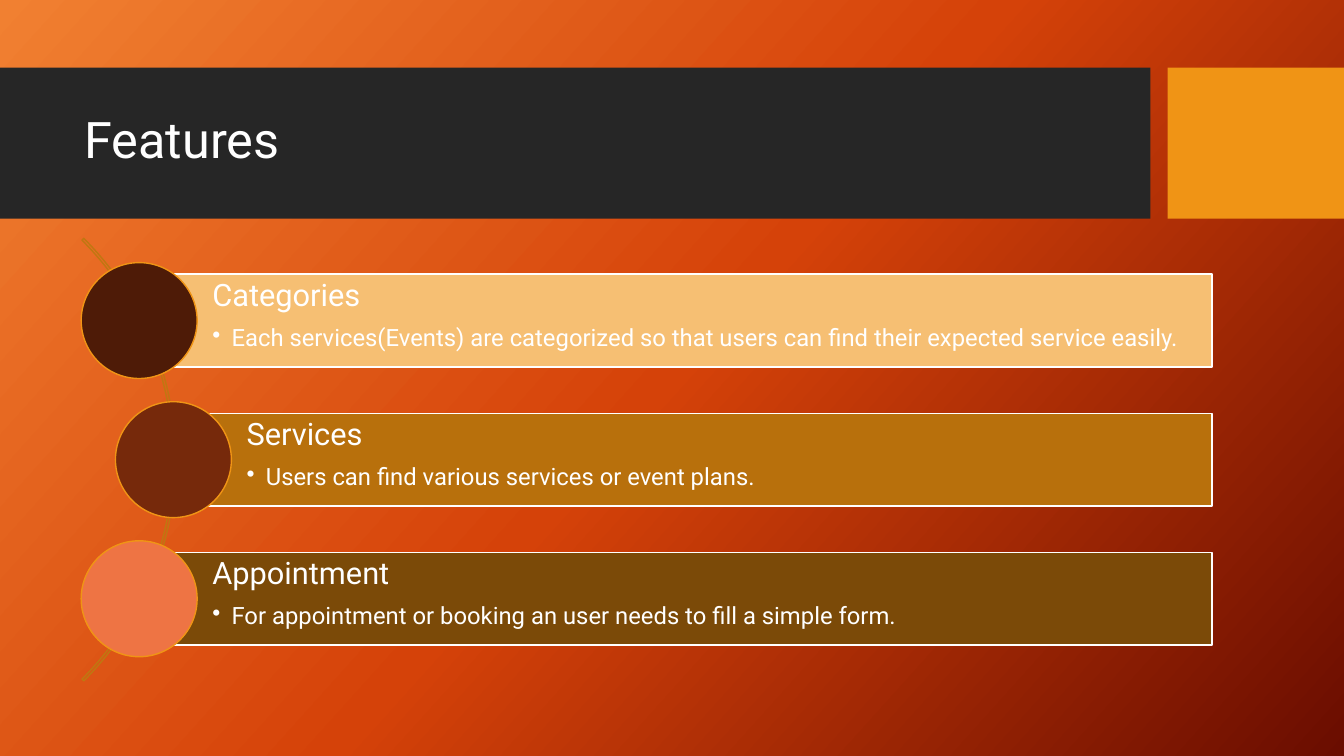
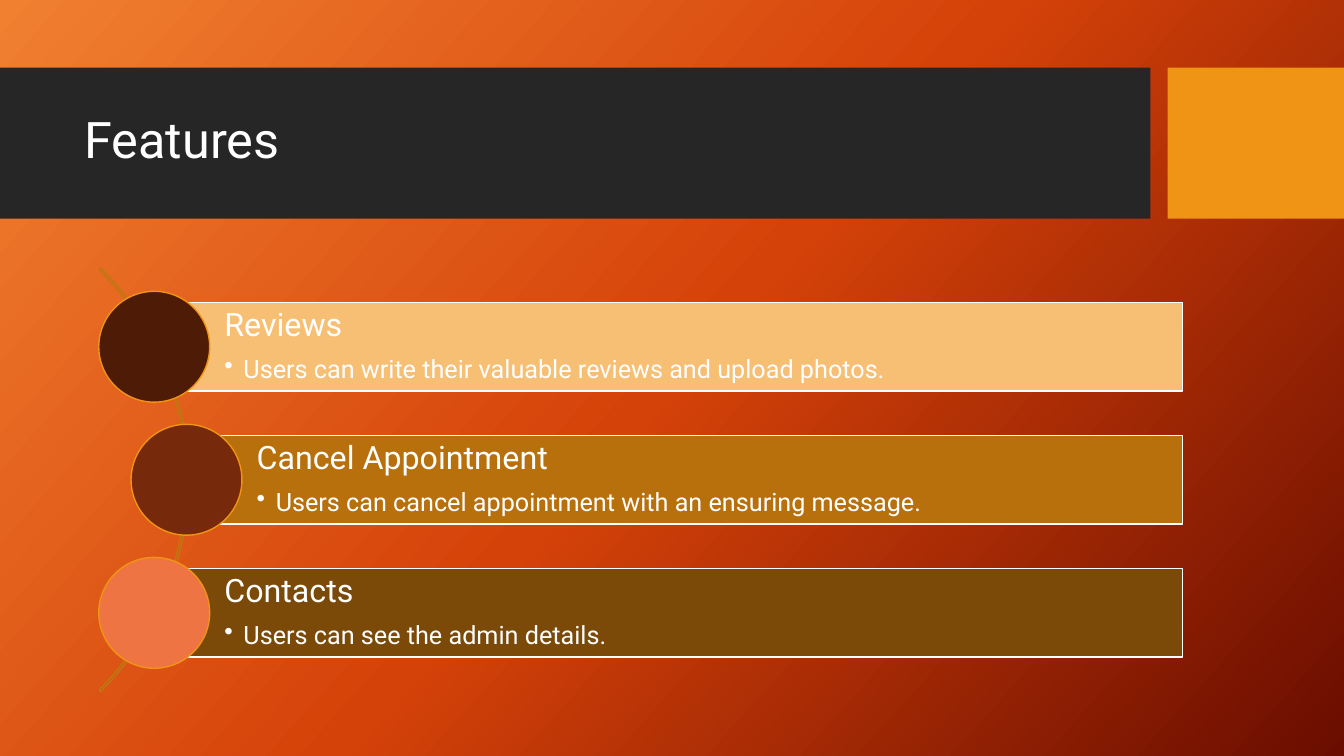
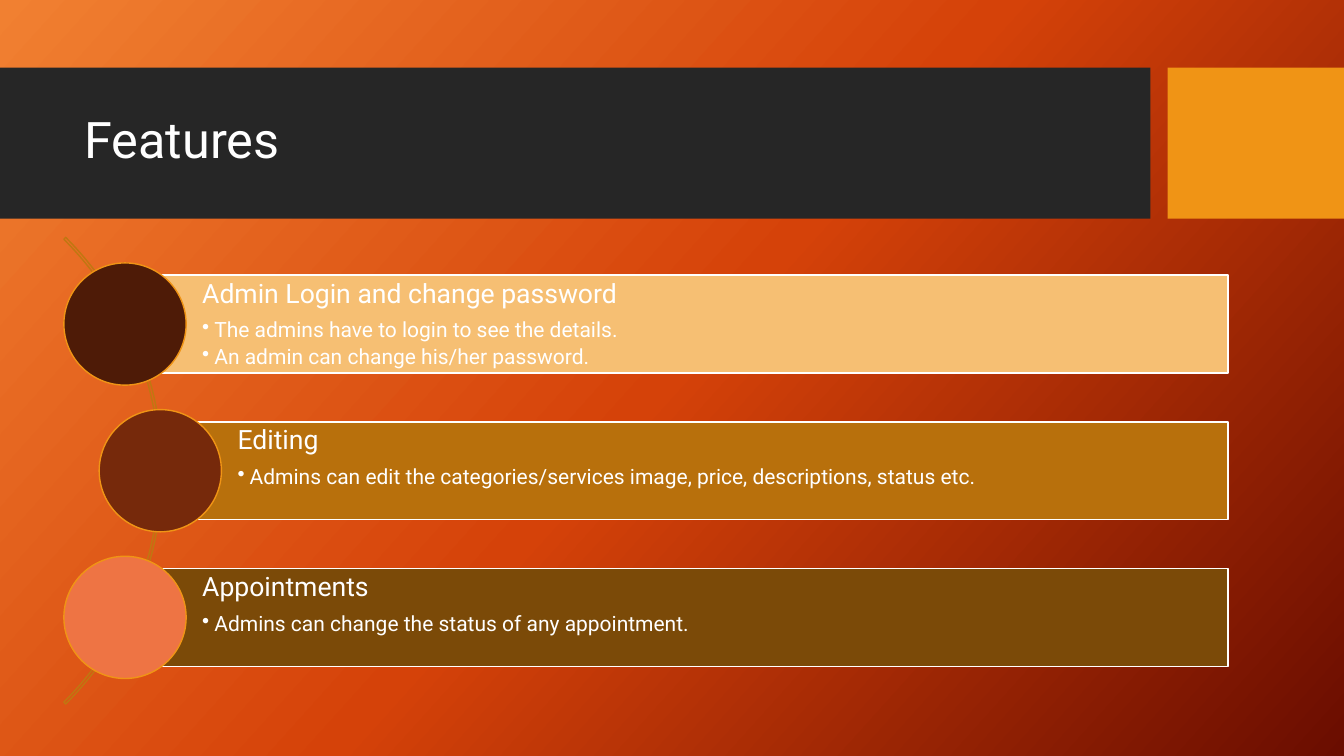
from copy import deepcopy
from dataclasses import dataclass

from lxml import etree
from pptx import Presentation
from pptx import util as u
from pptx.dml import color
from pptx.enum import shapes, text
from pptx.oxml import ns


@dataclass(frozen=True)
class Theme:
    font: str = "Roboto"
    white: str = "FFFFFF"
    band: str = "262626"
    accent: str = "F09415"
    arc: str = "C07711"
    backdrop: tuple = ((0, "F18031"), (0.5, "D54209"), (1, "6A0D00"))
    backdrop_angle: int = 318
    bars: tuple = ("F6BF73", "B8700C", "7B4A08")
    circles: tuple = ("4E1B07", "76290B", "EE7444")
    title_size: int = 36
    line_width: int = 1
    line_spacing: float = 0.9


@dataclass(frozen=True)
class FeatureList:
    left: float
    right: float
    top: float
    bar_height: float
    shift: float
    inset: float
    heading_size: int
    bullet_size: int
    bullet_indent: float
    features: tuple


THEME = Theme()
SHAPE = shapes.MSO_SHAPE

PAGES = (
    FeatureList(1.38, 12.02, 2.72, 0.92, 0.34, 0.06, 22, 17, 0.19, (
        ("Categories", "Each services(Events) are categorized so that users can find their expected service easily."),
        ("Services", "Users can find various services or event plans."),
        ("Appointment", "For appointment or booking an user needs to fill a simple form."),
    )),
    FeatureList(1.53, 11.73, 3, 0.88, 0.32, 0.06, 23, 18, 0.19, (
        ("Reviews", "Users can write their valuable reviews and upload photos."),
        ("Cancel Appointment", "Users can cancel appointment with an ensuring message."),
        ("Contacts", "Users can see the admin details."),
    )),
    FeatureList(1.24, 12.18, 2.73, 0.97, 0.35, 0.05, 19, 15, 0.12, (
        ("Admin Login and change password", "The admins have to login to see the details.",
         "An admin can change his/her password."),
        ("Editing", "Admins can edit the categories/services image, price, descriptions, status etc."),
        ("Appointments", "Admins can change the status of any appointment."),
    )),
)


def apply_format(target, values):
    for name, value in values.items():
        setattr(target, name, value)


def rgb(value):
    return color.RGBColor.from_string(value)


def paint_backdrop(master):
    fill = master.background.fill
    fill.gradient()
    stop_list = master.element.xpath(".//p:bg//a:gsLst")[0]
    stop_list.append(deepcopy(stop_list[0]))
    for stop, (position, shade) in zip(fill.gradient_stops, THEME.backdrop):
        stop.position = position
        stop.color.rgb = rgb(shade)
    fill.gradient_angle = THEME.backdrop_angle


def add_figure(page, kind, left, top, width, height, fill=None, line=None):
    figure = page.shapes.add_shape(kind, *map(u.Inches, (left, top, width, height)))
    figure.shadow.inherit = False
    if fill:
        figure.fill.solid()
        figure.fill.fore_color.rgb = rgb(fill)
    else:
        figure.fill.background()
    if line:
        figure.line.color.rgb = rgb(line)
        figure.line.width = u.Pt(THEME.line_width)
    else:
        figure.line.fill.background()
    return figure


def write_para(para, words, size, space_after=0):
    apply_format(para, {
        "alignment": text.PP_ALIGN.LEFT,
        "line_spacing": THEME.line_spacing,
        "space_after": u.Pt(space_after),
    })
    span = para.add_run()
    span.text = words
    apply_format(span.font, {"name": THEME.font, "size": u.Pt(size)})
    span.font.color.rgb = rgb(THEME.white)


def add_bullet(para, indent):
    properties = para._p.get_or_add_pPr()
    properties.set("marL", str(u.Inches(indent)))
    properties.set("indent", str(-u.Inches(indent)))
    etree.SubElement(properties, ns.qn("a:buChar")).set("char", "•")


def add_title(page, words):
    add_figure(page, SHAPE.RECTANGLE, 0, 0.67, 11.41, 1.5, THEME.band)
    add_figure(page, SHAPE.RECTANGLE, 11.58, 0.67, 1.75, 1.5, THEME.accent)
    box = page.shapes.add_textbox(*map(u.Inches, (0.74, 0.82, 10.51, 1.18)))
    apply_format(box.text_frame, {"word_wrap": True, "vertical_anchor": text.MSO_ANCHOR.MIDDLE})
    write_para(box.text_frame.paragraphs[0], words, THEME.title_size)


def add_arc(page, layout):
    diameter = 6.75 * layout.bar_height
    left = layout.left + layout.shift + 0.02 - diameter
    top = layout.top + 2 * layout.bar_height - diameter / 2
    arc = add_figure(page, SHAPE.BLOCK_ARC, left, top, diameter, diameter, line=THEME.arc)
    for index, value in enumerate((189, 27, 0.004)):
        arc.adjustments[index] = value


def add_feature(page, layout, index, feature):
    height = layout.bar_height
    left = layout.left + layout.shift * (index % 2)
    top = layout.top + 1.5 * height * index
    bar = add_figure(page, SHAPE.RECTANGLE, left, top, layout.right - left, height,
                     THEME.bars[index], THEME.white)
    frame = bar.text_frame
    inset = u.Inches(layout.inset)
    apply_format(frame, {
        "word_wrap": True,
        "vertical_anchor": text.MSO_ANCHOR.TOP,
        "margin_left": u.Inches(0.79 * height),
        "margin_top": inset,
        "margin_right": inset,
        "margin_bottom": inset,
    })
    heading, *bullets = feature
    write_para(frame.paragraphs[0], heading, layout.heading_size, 0.41 * layout.heading_size)
    for words in bullets:
        para = frame.add_paragraph()
        write_para(para, words, layout.bullet_size, 0.18 * layout.bullet_size)
        add_bullet(para, layout.bullet_indent)

    diameter = 1.25 * height
    add_figure(page, SHAPE.OVAL, left - diameter / 2, top + (height - diameter) / 2,
               diameter, diameter, THEME.circles[index], THEME.accent)


def main():
    deck = Presentation()
    apply_format(deck, {"slide_width": u.Inches(13.33), "slide_height": u.Inches(7.5)})
    paint_backdrop(deck.slide_master)
    for layout in PAGES:
        page = deck.slides.add_slide(deck.slide_layouts[6])
        add_title(page, "Features")
        add_arc(page, layout)
        for index, feature in enumerate(layout.features):
            add_feature(page, layout, index, feature)
    deck.save("out.pptx")


if __name__ == "__main__":
    main()
